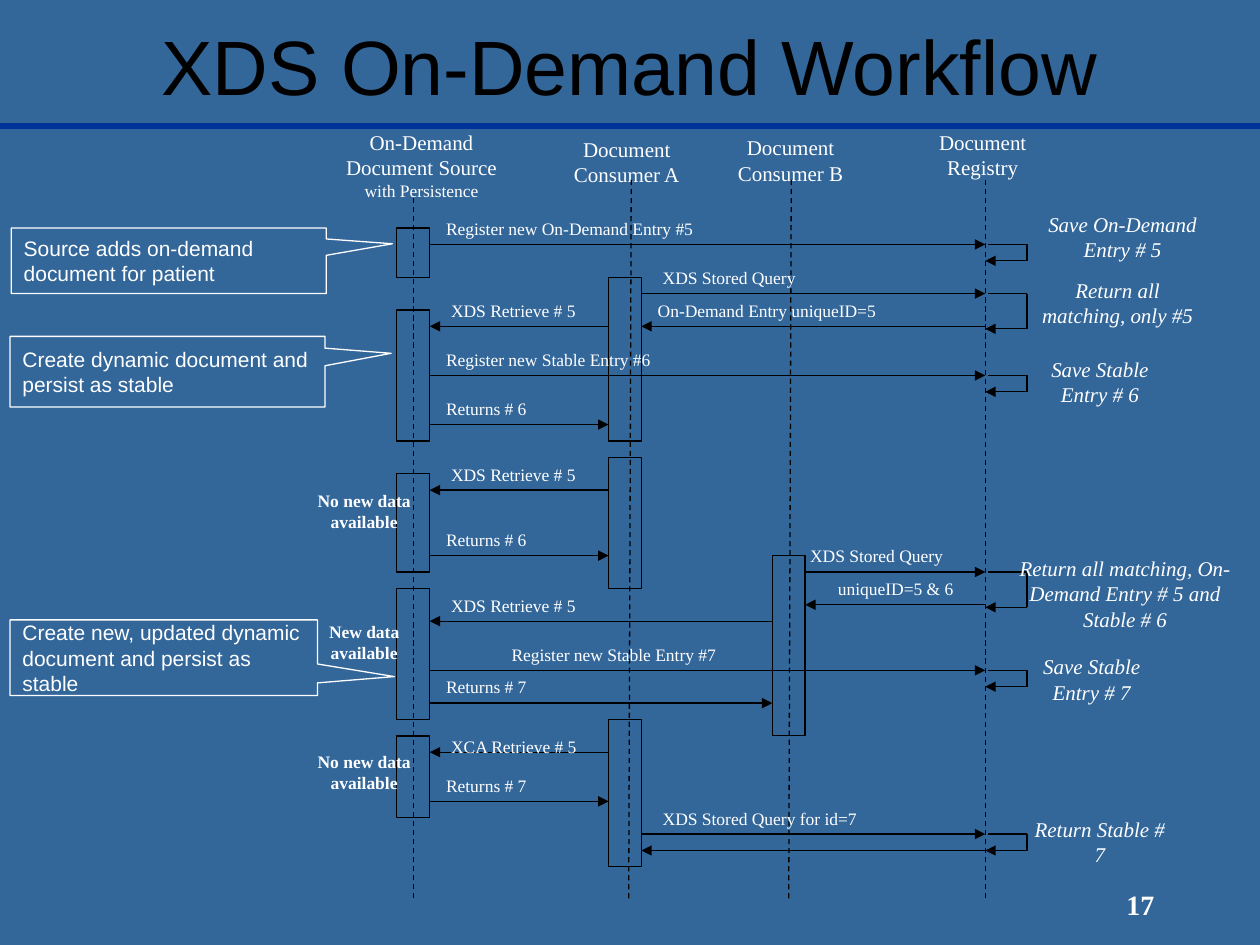
from pptx import Presentation
from pptx.dml.color import RGBColor as RGB
from pptx.enum.dml import MSO_LINE as Dash
from pptx.enum.shapes import MSO_CONNECTOR as Conn, MSO_SHAPE as Shape
from pptx.enum.text import MSO_ANCHOR as Anchor, PP_ALIGN as Align
from pptx.oxml.ns import qn
from pptx.util import Inches, Pt
from lxml.etree import SubElement as Sub

TOP, ROW = 1.68, 0.13
HALF = 0.13
AXES = {"S": 3.28, "A": 4.96, "B": 6.26, "R": 7.82}
SERIF = "Times New Roman"

# box, text, size of the last words, last words
HEADS = [
    ((2.65, 1.03, 1.39, 0.52), "On-Demand Document Source ", "with Persistence"),
    ((4.46, 1.08, 1.03, 0.35), "Document Consumer A", ""),
    ((5.76, 1.07, 1.03, 0.35), "Document Consumer B", ""),
    ((7.3, 1.03, 1, 0.35), "Document Registry", ""),
]
# foot x, top x, top y
LIVES = [(3.28, 3.28, 1.55), (4.99, 5.01, 1.42), (6.26, 6.28, 1.42), (7.82, 7.82, 1.42)]
# actor, first row, last row
BARS = [
    ("S", 1, 4), ("S", 6, 14), ("S", 16, 22), ("S", 23, 31), ("S", 32, 37),
    ("A", 4, 14), ("A", 15, 23), ("A", 31, 40), ("B", 21, 32),
]
# sender, receiver, row, label, label offset from the left axis
CALLS = [
    ("S", "R", 2, "Register new On-Demand Entry #5", 0.26),
    ("A", "R", 5, "XDS Stored Query", 0.3),
    ("R", "A", 7, "On-Demand Entry uniqueID=5", 0.26),
    ("A", "S", 7, "XDS Retrieve # 5", 0.3),
    ("S", "R", 10, "Register new Stable Entry #6", 0.26),
    ("S", "A", 13, "Returns # 6", 0.26),
    ("A", "S", 17, "XDS Retrieve # 5", 0.3),
    ("S", "A", 21, "Returns # 6", 0.26),
    ("B", "R", 22, "XDS Stored Query", 0.17),
    ("R", "B", 24, "uniqueID=5 & 6", 0.39),
    ("B", "S", 25, "XDS Retrieve # 5", 0.3),
    ("S", "R", 28, "Register new Stable Entry #7", 0.78),
    ("S", "B", 30, "Returns # 7", 0.26),
    ("A", "S", 33, "XCA Retrieve # 5", 0.3),
    ("S", "A", 36, "Returns # 7", 0.26),
    ("A", "R", 38, "XDS Stored Query for id=7", 0.3),
    ("R", "A", 39, "", 0),
]
# row, height, note box, note
LOOPS = [
    (2, 0.13, (8.26, 1.68, 1.3, 0.39), "Save On-Demand Entry # 5"),
    (5, 0.28, (8.21, 2.2, 1.32, 0.39), "Return all matching, only #5"),
    (10, 0.13, (8.21, 2.83, 1.04, 0.39), "Save Stable\nEntry # 6"),
    (22, 0.28, (8.08, 4.41, 1.7, 0.65),
     "Return all matching, On-Demand Entry # 5 and Stable # 6"),
    (28, 0.13, (8.08, 5.19, 1.17, 0.39), "Save Stable\nEntry # 7"),
    (38, 0.13, (8.21, 6.48, 1.04, 0.39), "Return Stable # 7"),
]
STATES = [(3.89, "No new data available"), (4.93, "New data available"),
          (5.96, "No new data available")]
ASIDES = [
    ((0.09, 1.81, 2.5, 0.52), (0.71, -0.26), "Source adds on-demand document for patient"),
    ((0.08, 2.67, 2.5, 0.56), (0.71, -0.26), "Create dynamic document and persist as stable"),
    ((0.08, 4.92, 2.44, 0.6), (0.75, 0.25),
     "Create new, updated dynamic document and persist as stable"),
]


def tint(code):
    """Turn a hex string into a colour."""
    return RGB.from_string(code)


def row(num):
    """Give the height of a grid row."""
    return TOP + num * ROW


def fill_in(shape, text, size, font=SERIF, ink="FFFFFF", align=Align.CENTER,
            pad=(0, 0), mid=False, bold=False, slant=False):
    """Write text into a shape and format it; pad is (side, top)."""
    frame = shape.text_frame
    frame.text = text
    frame.word_wrap = True
    frame.vertical_anchor = Anchor.MIDDLE if mid else Anchor.TOP
    frame.margin_left = frame.margin_right = Inches(pad[0])
    frame.margin_top = Inches(pad[1])
    frame.margin_bottom = Inches(pad[1] if mid else 0)
    for para in frame.paragraphs:
        para.alignment = align
        for run in para.runs:
            face = run.font
            face.name, face.size = font, Pt(size)
            face.bold, face.italic = bold, slant
            face.color.rgb = tint(ink)


def write(slide, box, text, size, **style):
    """Add a text box."""
    shape = slide.shapes.add_textbox(*map(Inches, box))
    fill_in(shape, text, size, **style)
    return shape


def draw(slide, start, end, ink="000000", wide=0.75, dash=False, tip=False):
    """Add a straight line, with an arrowhead at its end if tip is set."""
    line = slide.shapes.add_connector(Conn.STRAIGHT, *map(Inches, (*start, *end)))
    line.line.color.rgb = tint(ink)
    line.line.width = Pt(wide)
    if dash:
        line.line.dash_style = Dash.DASH
    if tip:
        Sub(line.line._get_or_add_ln(), qn("a:tailEnd"), type="triangle")
    Sub(line._element.spPr, qn("a:effectLst"))


def frame(slide, kind, box, ink):
    """Add an unfilled outline shape."""
    shape = slide.shapes.add_shape(kind, *map(Inches, box))
    shape.shadow.inherit = False
    shape.fill.background()
    shape.line.color.rgb = tint(ink)
    shape.line.width = Pt(0.75)
    return shape


def head(slide, box, text, more):
    """Name an actor, with smaller last words."""
    para = write(slide, box, text, 12).text_frame.paragraphs[0]
    if more:
        run = para.add_run()
        run.text = more
        run.font.name, run.font.size = SERIF, Pt(10)
        run.font.color.rgb = tint("FFFFFF")


def call(slide, src, dest, num, text, shift):
    """Draw a message arrow between two actors and its label."""
    left = min(AXES[src], AXES[dest])

    def edge(name):
        """Find where the arrow meets an actor."""
        if name == "R":
            return AXES[name]
        return AXES[name] + (HALF if AXES[name] == left else -HALF)

    draw(slide, (edge(src), row(num)), (edge(dest), row(num)), tip=True)
    if text:
        low = text.startswith("XCA")
        box = (left + shift, row(num - (1 if low else 2)), 2.21, 0.26)
        write(slide, box, text, 10, align=Align.LEFT, pad=(0, 0 if low else 0.05))


def loop(slide, num, high, box, text):
    """Draw a registry's call to itself and the note beside it."""
    axis, far, top = AXES["R"], 8.15, row(num)
    draw(slide, (axis + 0.02, top), (far, top))
    draw(slide, (far, top), (far, top + high))
    draw(slide, (far, top + high), (axis, top + high), tip=True)
    write(slide, box, text, 12, slant=True)


def aside(slide, box, point, text):
    """Add a callout whose tip lies at a share of its size."""
    shape = frame(slide, Shape.RECTANGULAR_CALLOUT, box, "FFFFFF")
    shape.adjustments[0], shape.adjustments[1] = point
    fill_in(shape, text, 12, font="Arial", align=Align.LEFT, pad=(0.1, 0.05), mid=True)


def main():
    """Build the slide and save it."""
    deck = Presentation()
    deck.slide_width, deck.slide_height = Inches(10), Inches(7.5)
    slide = deck.slides.add_slide(deck.slide_layouts[6])
    back = slide.background.fill
    back.solid()
    back.fore_color.rgb = tint("336699")

    draw(slide, (0, 1), (10, 1), ink="003399", wide=3)
    write(slide, (0.75, 0.04, 8.5, 0.94), "XDS On-Demand Workflow", 44,
          font="Arial", ink="000000", pad=(0.1, 0.05), mid=True)
    write(slide, (8.34, 6.93, 1.42, 0.5), "17", 16, pad=(0.1, 0.05), mid=True, bold=True)
    for item in HEADS:
        head(slide, *item)
    for foot, peak, top in LIVES:
        draw(slide, (foot, 7.13), (peak, top), dash=True)
    for name, first, last in BARS:
        box = (AXES[name] - HALF, row(first), 2 * HALF, (last - first) * ROW)
        frame(slide, Shape.RECTANGLE, box, "000000")
    for item in CALLS:
        call(slide, *item)
    for item in LOOPS:
        loop(slide, *item)
    for top, text in STATES:
        write(slide, (2.5, top, 0.78, 0.39), text, 10, bold=True)
    for item in ASIDES:
        aside(slide, *item)
    deck.save("out.pptx")


main()
